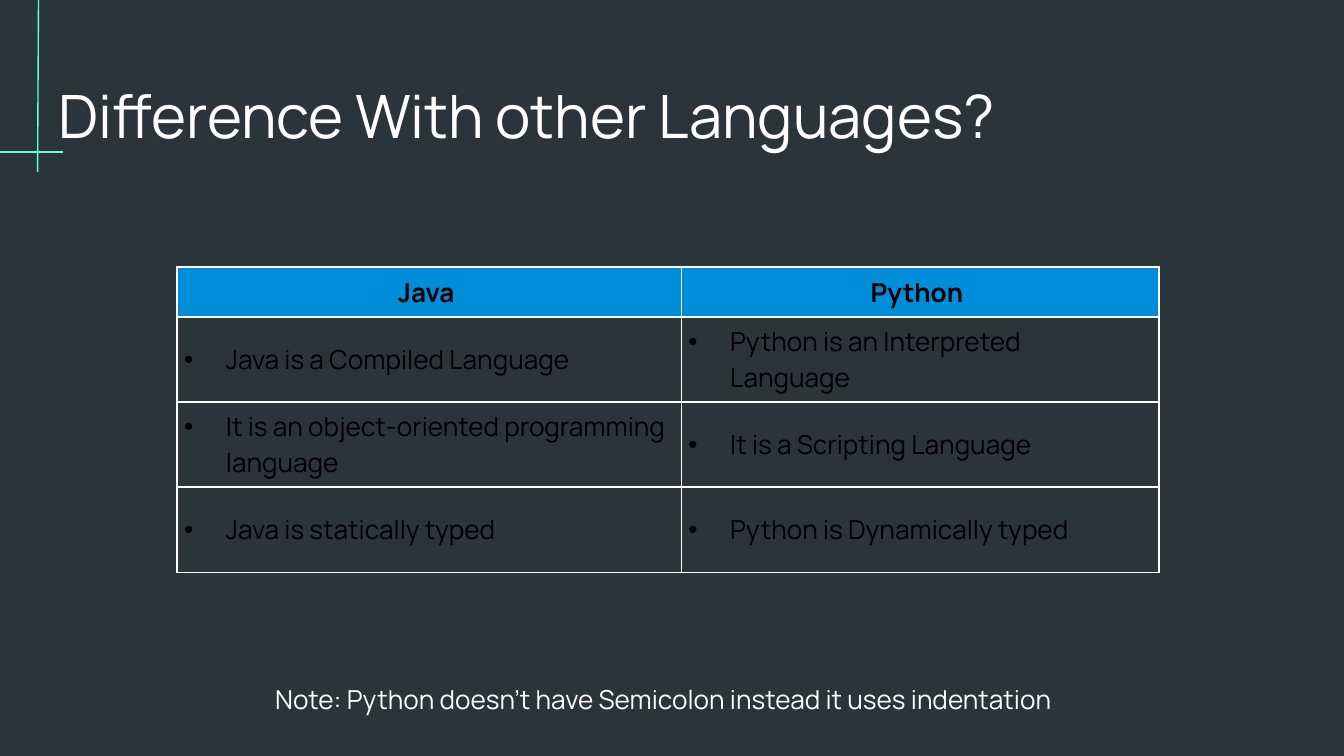
import pptx
import pptx.util
import pptx.dml.color
import pptx.enum.shapes
import pptx.enum.text
import pptx.oxml.ns
from lxml import etree

Cm = pptx.util.Cm
ALIGN = pptx.enum.text.PP_ALIGN

COLORS = {
    "background": "29353B",
    "accent": "64FFDA",
    "header": "008DD9",
    "light": "FFFFFF",
    "dark": "000000",
}
FONT = "Manrope"
TITLE = "Difference With other Languages?"
NOTE = "Note: Python doesn’t have Semicolon instead it uses indentation "
COMPARISON = [
    ("Java", "Python"),
    ("Java is a Compiled Language", "Python is an Interpreted Language"),
    ("It is an object-oriented programming language", "It is a Scripting Language"),
    ("Java is statically typed", "Python is Dynamically typed"),
]
COLUMN_WIDTHS = (9.53, 9.02)
HEADER_HEIGHT, BODY_HEIGHT = 0.94, 1.61
CROSSHAIR = [
    ((0.73, -0.48), (0.71, 3.25)),
    ((-2.54, 2.87), (1.19, 2.87)),
]


def rgb(name):
    return pptx.dml.color.RGBColor.from_string(COLORS[name])


def add(parent, tag, **attributes):
    return etree.SubElement(parent, pptx.oxml.ns.qn(tag), attributes)


def write(frame, text, size=14, color="light", bold=False, align=ALIGN.LEFT, bullet=False):
    frame.word_wrap = True
    paragraph = frame.paragraphs[0]
    paragraph.alignment = align
    run = paragraph.add_run()
    run.text = text
    run.font.size = pptx.util.Pt(size)
    run.font.name = FONT
    run.font.bold = bold
    run.font.color.rgb = rgb(color)
    if bullet:
        properties = paragraph._p.get_or_add_pPr()
        properties.set("marL", str(Cm(0.79)))
        properties.set("indent", str(-Cm(0.79)))
        add(properties, "a:buFont", typeface="Arial")
        add(properties, "a:buChar", char="•")


def outline(cell):
    properties = cell._tc.get_or_add_tcPr()
    for position, side in enumerate(("a:lnL", "a:lnR", "a:lnT", "a:lnB")):
        border = etree.Element(pptx.oxml.ns.qn(side), w=str(pptx.util.Pt(1)))
        add(add(border, "a:solidFill"), "a:srgbClr", val=COLORS["light"])
        properties.insert(position, border)


presentation = pptx.Presentation()
presentation.slide_width, presentation.slide_height = Cm(25.4), Cm(14.29)
slide = presentation.slides.add_slide(presentation.slide_layouts[6])
slide.background.fill.solid()
slide.background.fill.fore_color.rgb = rgb("background")

for start, end in CROSSHAIR:
    hair = slide.shapes.add_connector(
        pptx.enum.shapes.MSO_CONNECTOR.STRAIGHT, *map(Cm, start + end))
    hair.line.color.rgb = rgb("accent")
    hair.line.width = pptx.util.Pt(0.75)
    add(hair._element.spPr, "a:effectLst")

title = slide.shapes.add_textbox(Cm(0.86), Cm(1.24), Cm(24.54), Cm(1.6)).text_frame
title.margin_left = title.margin_right = Cm(0.25)
title.margin_top = title.margin_bottom = Cm(0.25)
write(title, TITLE, size=32)

row_heights = [HEADER_HEIGHT] + [BODY_HEIGHT] * (len(COMPARISON) - 1)
languages = slide.shapes.add_table(
    len(COMPARISON), len(COLUMN_WIDTHS), Cm(3.35), Cm(5.05),
    Cm(sum(COLUMN_WIDTHS)), Cm(sum(row_heights))).table
for column, width in zip(languages.columns, COLUMN_WIDTHS):
    column.width = Cm(width)
for r, (entries, height) in enumerate(zip(COMPARISON, row_heights)):
    languages.rows[r].height = Cm(height)
    is_header = r == 0
    for c, entry in enumerate(entries):
        cell = languages.cell(r, c)
        cell.vertical_anchor = pptx.enum.text.MSO_ANCHOR.MIDDLE
        cell.margin_left = cell.margin_top = cell.margin_bottom = Cm(0.13)
        cell.margin_right = Cm(0.25)
        if is_header:
            cell.fill.solid()
            cell.fill.fore_color.rgb = rgb("header")
        else:
            cell.fill.background()
        outline(cell)
        write(cell.text_frame, entry, color="dark", bold=is_header, bullet=not is_header,
              align=ALIGN.CENTER if is_header else ALIGN.LEFT)

note = slide.shapes.add_textbox(Cm(4.95), Cm(12.8), Cm(19.02), Cm(0.86)).text_frame
note.auto_size = pptx.enum.text.MSO_AUTO_SIZE.SHAPE_TO_FIT_TEXT
write(note, NOTE)

presentation.save("out.pptx")
